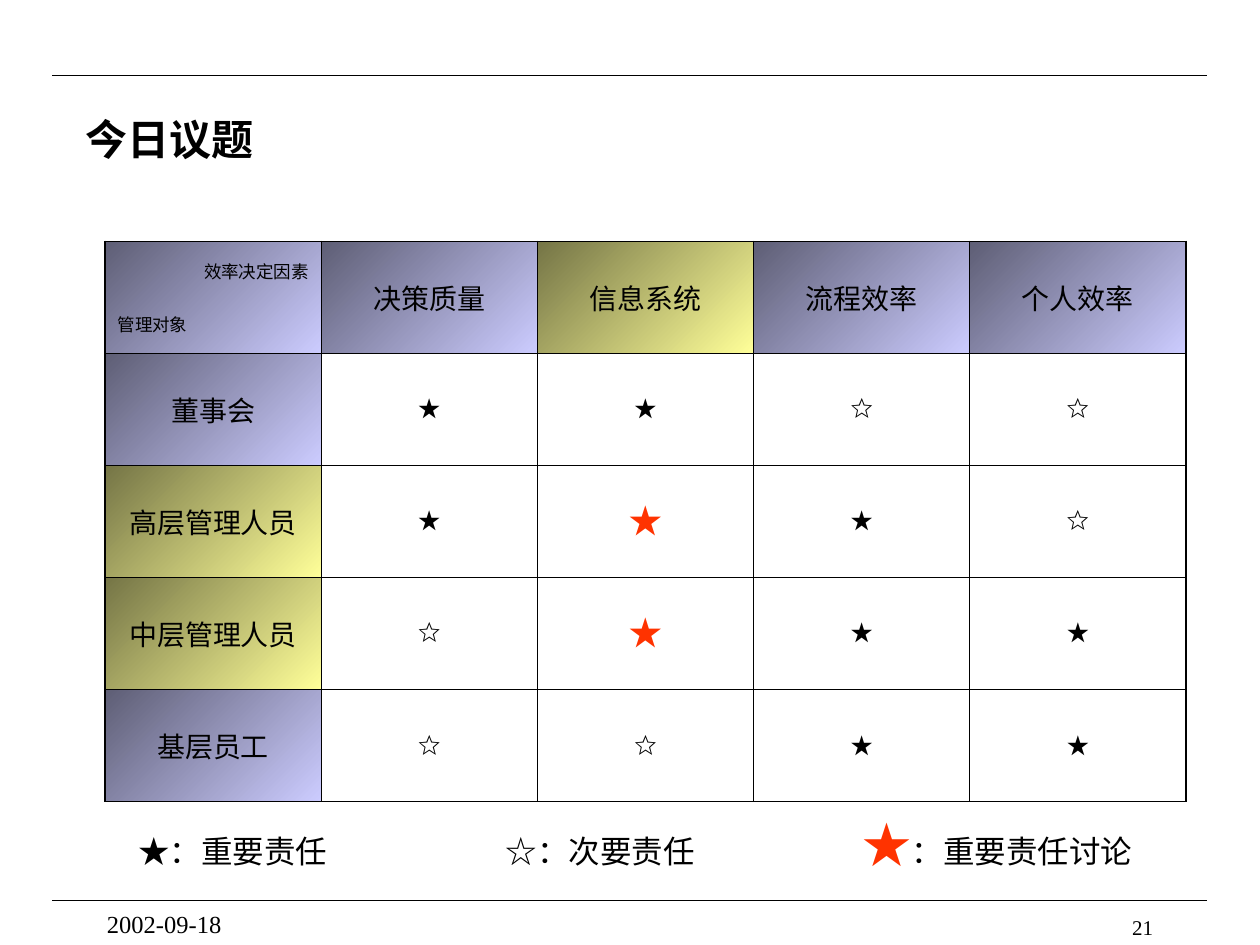
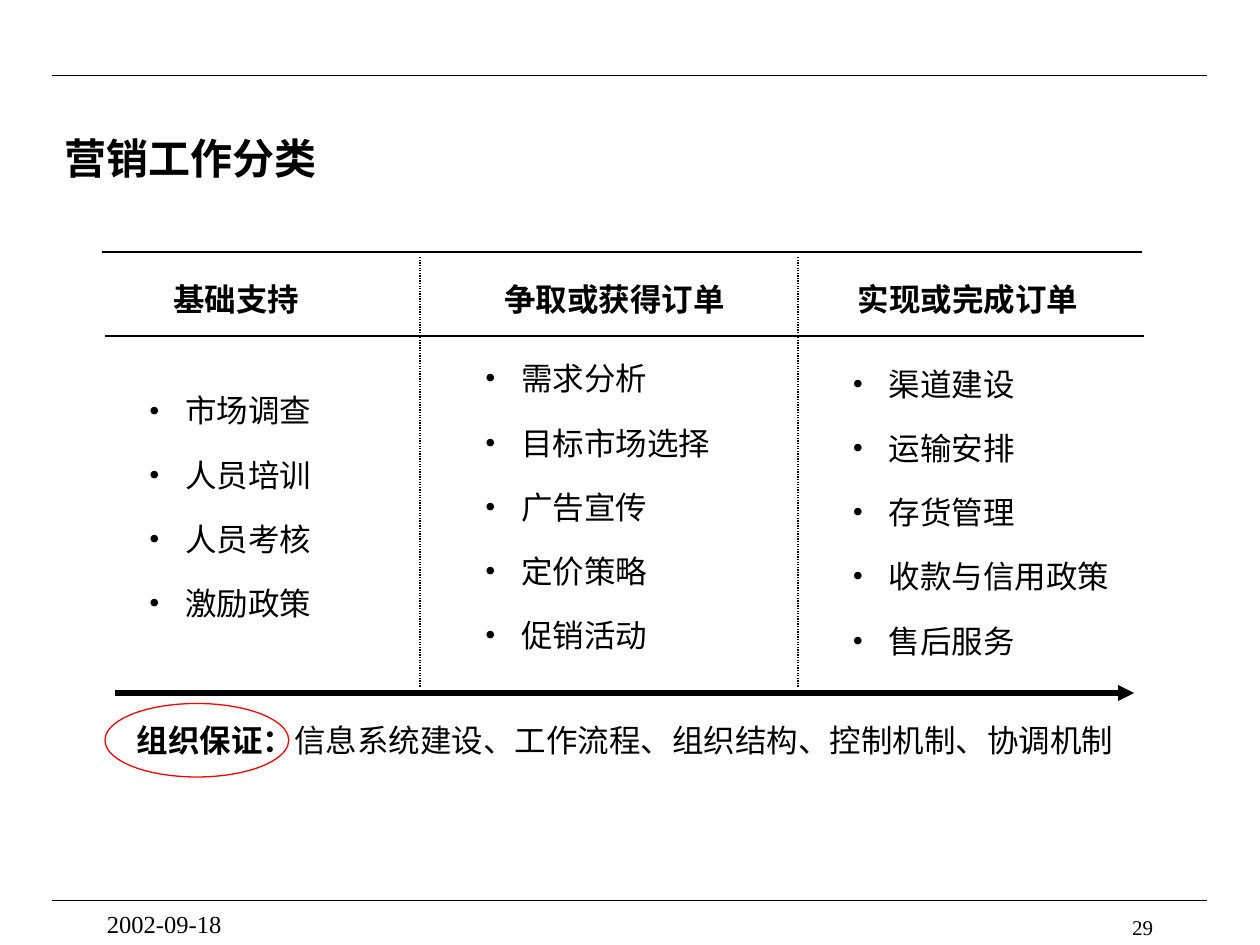
from lxml.etree import SubElement
from pptx import Presentation
from pptx.dml.color import RGBColor
from pptx.enum.dml import MSO_LINE_DASH_STYLE as Dash
from pptx.enum.shapes import MSO_CONNECTOR_TYPE as Connector, MSO_SHAPE as Shape
from pptx.enum.text import MSO_ANCHOR as Anchor, PP_ALIGN as Align
from pptx.oxml import parse_xml
from pptx.oxml.ns import nsdecls, qn
from pptx.util import Inches, Pt

BLACK = RGBColor(0x00, 0x00, 0x00)
WHITE = RGBColor(0xFF, 0xFF, 0xFF)
RED = RGBColor(0xFF, 0x00, 0x00)
ORANGE = RGBColor(0xFF, 0x33, 0x00)
LILAC = (RGBColor(0xCC, 0xCC, 0xFF), RGBColor(0x5E, 0x5E, 0x75))
YELLOW = (RGBColor(0xFF, 0xFF, 0x99), RGBColor(0x75, 0x75, 0x46))

SANS = "Noto Sans CJK SC"
SERIF = "Times New Roman"
DATE = "2002-09-18"
THIN, THICK = 0.45, 1.08

FACTORS = ["决策质量", "信息系统", "流程效率", "个人效率"]
DUTIES = {
    "董事会": "★★☆☆",
    "高层管理人员": "★★★☆",
    "中层管理人员": "☆★★★",
    "基层员工": "☆☆★★",
}
FOCUS_FACTOR = "信息系统"
FOCUS_GROUPS = {"高层管理人员", "中层管理人员"}

TASKS = [
    ("基础支持", 10, 13, 32, ["市场调查", "人员培训", "人员考核", "激励政策"]),
    ("争取或获得订单", 46, 45, 32,
     ["需求分析", "目标市场选择", "广告宣传", "定价策略", "促销活动"]),
    ("实现或完成订单", 79.7, 80, 33,
     ["渠道建设", "运输安排", "存货管理", "收款与信用政策", "售后服务"]),
]


def grid(*cells):
    return [Inches(cell / 12) for cell in cells]


def run_of(text, size, face=SANS, color=BLACK, bold=False):
    return text, {"size": Pt(size), "name": face, "bold": bold}, color


def write(paragraph, *runs, **layout):
    for key, value in layout.items():
        setattr(paragraph, key, value)
    for text, look, color in runs:
        run = paragraph.add_run()
        run.text = text
        for key, value in look.items():
            setattr(run.font, key, value)
        run.font.color.rgb = color
        SubElement(run.font._element, qn("a:ea"), typeface=SANS)


def fill_frame(frame, runs, anchor=Anchor.MIDDLE, **layout):
    frame.word_wrap = True
    frame.vertical_anchor = anchor
    write(frame.paragraphs[0], *runs, **layout)
    return frame


def add_text(slide, place, *runs, **layout):
    box = slide.shapes.add_textbox(*grid(*place))
    return fill_frame(box.text_frame, runs, **layout)


def add_legend(slide, left, top, *runs):
    label = slide.shapes.add_shape(Shape.RECTANGLE, *grid(left, top, 31, 4))
    label.shadow.inherit = False
    label.fill.solid()
    label.fill.fore_color.rgb = WHITE
    label.line.fill.background()
    fill_frame(label.text_frame, runs, alignment=Align.LEFT)


def add_bullets(slide, place, items):
    frame = add_text(slide, place)
    for index, item in enumerate(items):
        paragraph = frame.add_paragraph() if index else frame.paragraphs[0]
        props = paragraph._p.get_or_add_pPr()
        indent = Inches(0.29)
        props.set("marL", str(indent))
        props.set("indent", str(-indent))
        SubElement(props, qn("a:buFont"), typeface=SERIF)
        SubElement(props, qn("a:buChar"), char="•")
        write(paragraph, run_of(item, 18), line_spacing=1.7)


def add_line(slide, start, end, width=0.75, dash=None, arrow=False):
    line = slide.shapes.add_connector(Connector.STRAIGHT, *grid(*start, *end))
    line.line.color.rgb = BLACK
    line.line.width = Pt(width)
    if dash:
        line.line.dash_style = dash
    if arrow:
        SubElement(line.line._get_or_add_ln(), qn("a:tailEnd"), type="triangle")
    SubElement(line._element.spPr, qn("a:effectLst"))


def add_ring(slide, place):
    ring = slide.shapes.add_shape(Shape.OVAL, *grid(*place))
    ring.shadow.inherit = False
    ring.fill.background()
    ring.line.color.rgb = RED
    ring.line.width = Pt(0.75)


def start_slide(deck, title, place, face, number):
    slide = deck.slides.add_slide(deck.slide_layouts[6])
    for row in (7.2, 85.8):
        add_line(slide, (5, row), (115, row))
    add_text(slide, place, run_of(title, 24, face, bold=True))
    add_text(slide, (86, 86.5, 25, 2), run_of(str(number), 12, SERIF),
             anchor=Anchor.TOP, alignment=Align.RIGHT)
    add_text(slide, (9, 86, 25, 3), run_of(DATE, 14, SERIF), anchor=Anchor.TOP)
    return slide


def shade(cell, colors):
    cell.fill.gradient()
    cell.fill.gradient_angle = 135
    for stop, color in zip(cell.fill.gradient_stops, colors):
        stop.color.rgb = color


def draw_borders(cell, **widths):
    props = cell._tc.get_or_add_tcPr()
    for index, (side, width) in enumerate(widths.items()):
        props.insert(index, parse_xml(
            f'<a:ln{side} {nsdecls("a")} w="{Pt(width)}"><a:solidFill>'
            f'<a:srgbClr val="{BLACK}"/></a:solidFill></a:ln{side}>'))


def fill_corner(cell):
    write(cell.text_frame.paragraphs[0], run_of("效率决定因素", 10, SERIF),
          alignment=Align.RIGHT)
    write(cell.text_frame.add_paragraph(), run_of("管理对象", 10, SERIF),
          space_before=Pt(16))


def add_duty_table(slide, place):
    rows = [["", *FACTORS], *([group, *stars] for group, stars in DUTIES.items())]
    last_row, last_column = len(rows) - 1, len(FACTORS)
    table = slide.shapes.add_table(len(rows), last_column + 1, *grid(*place)).table
    table.first_row = table.horz_banding = False
    for r, row in enumerate(rows):
        for c, text in enumerate(row):
            cell = table.cell(r, c)
            cell.vertical_anchor = Anchor.MIDDLE
            focus_row = row[0] in FOCUS_GROUPS
            focus_column = rows[0][c] == FOCUS_FACTOR
            if r == 0 or c == 0:
                shade(cell, YELLOW if focus_row or focus_column else LILAC)
            else:
                cell.fill.solid()
                cell.fill.fore_color.rgb = WHITE
            draw_borders(cell, L=THIN if c else THICK,
                         R=THICK if c == last_column else THIN,
                         T=THIN if r else THICK,
                         B=THICK if r == last_row else THIN)
            if r == c == 0:
                fill_corner(cell)
                continue
            size, color = (24, ORANGE) if focus_row and focus_column else (16, BLACK)
            write(cell.text_frame.paragraphs[0], run_of(text, size, SERIF, color),
                  alignment=Align.CENTER)


def build_agenda(deck):
    slide = start_slide(deck, "今日议题", (7, 8.4, 108, 9.6), SANS, 21)
    add_duty_table(slide, (10, 23, 102.96, 53.34))
    add_legend(slide, 12, 79, run_of("★：重要责任", 18))
    add_legend(slide, 47, 79, run_of("☆：次要责任", 18))
    add_legend(slide, 81, 78.4, run_of("★", 28, SERIF, ORANGE),
               run_of("：重要责任讨论", 18))


def build_marketing(deck):
    slide = start_slide(deck, "营销工作分类", (5, 9, 111, 12), SERIF, 29)
    for heading, heading_left, list_left, height, items in TASKS:
        add_text(slide, (heading_left, 26, 25, 5),
                 run_of(heading, 18, SERIF, bold=True), alignment=Align.CENTER)
        add_bullets(slide, (list_left, 31, 28, height), items)
    add_line(slide, (9.75, 24), (108.75, 24))
    add_line(slide, (10, 32), (109, 32))
    for column in (40, 76):
        add_line(slide, (column, 24.5), (column, 65.4), dash=Dash.ROUND_DOT)
    add_line(slide, (11, 66), (108, 66), width=3, arrow=True)
    add_text(slide, (10, 68, 99, 5), run_of("组织保证：", 18, SERIF, bold=True),
             run_of("信息系统建设、工作流程、组织结构、控制机制、协调机制", 18, SERIF),
             alignment=Align.CENTER)
    add_ring(slide, (10, 67, 17.5, 7))


def main():
    deck = Presentation()
    deck.slide_width, deck.slide_height = grid(120, 90)
    build_agenda(deck)
    build_marketing(deck)
    deck.save("out.pptx")


if __name__ == "__main__":
    main()
